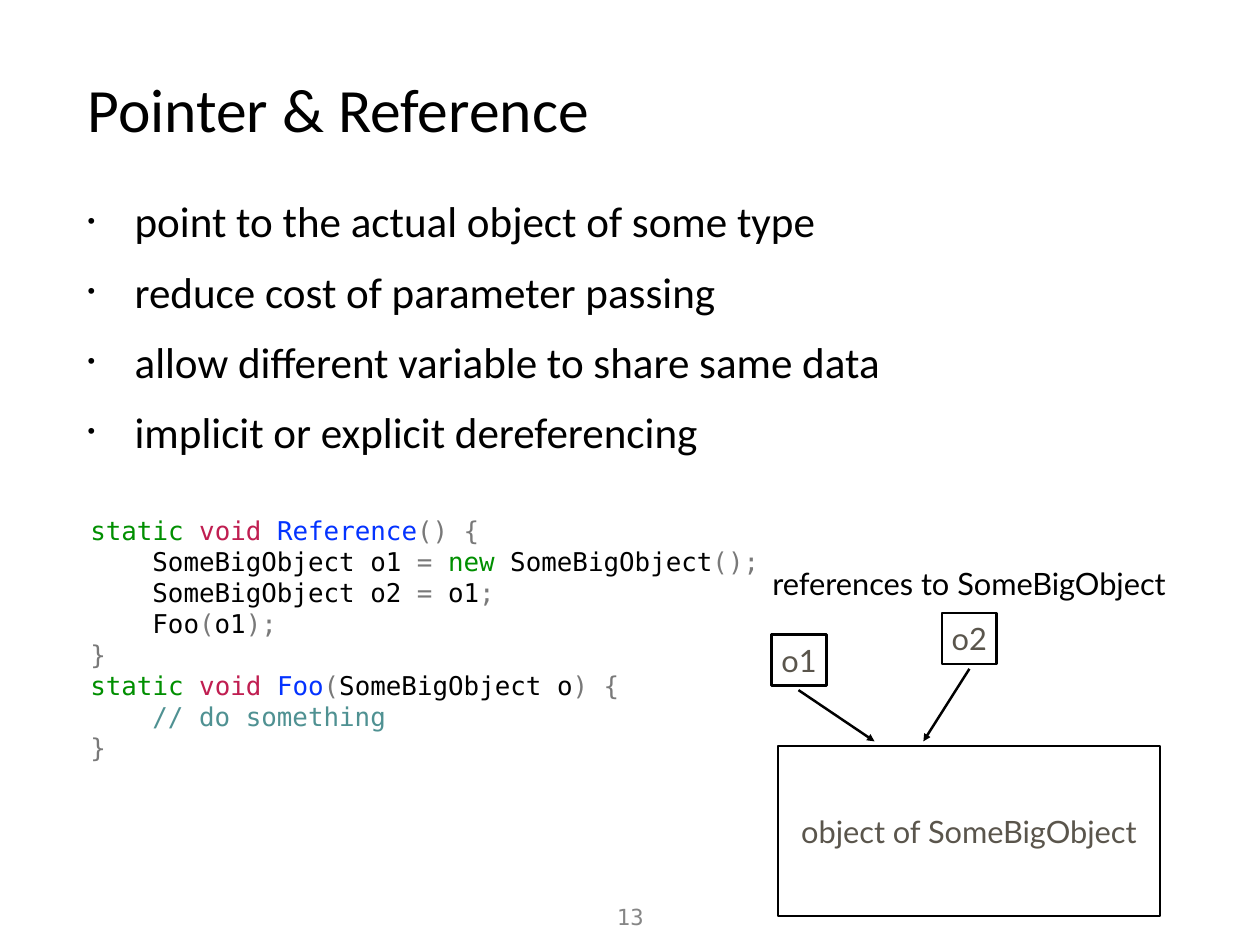
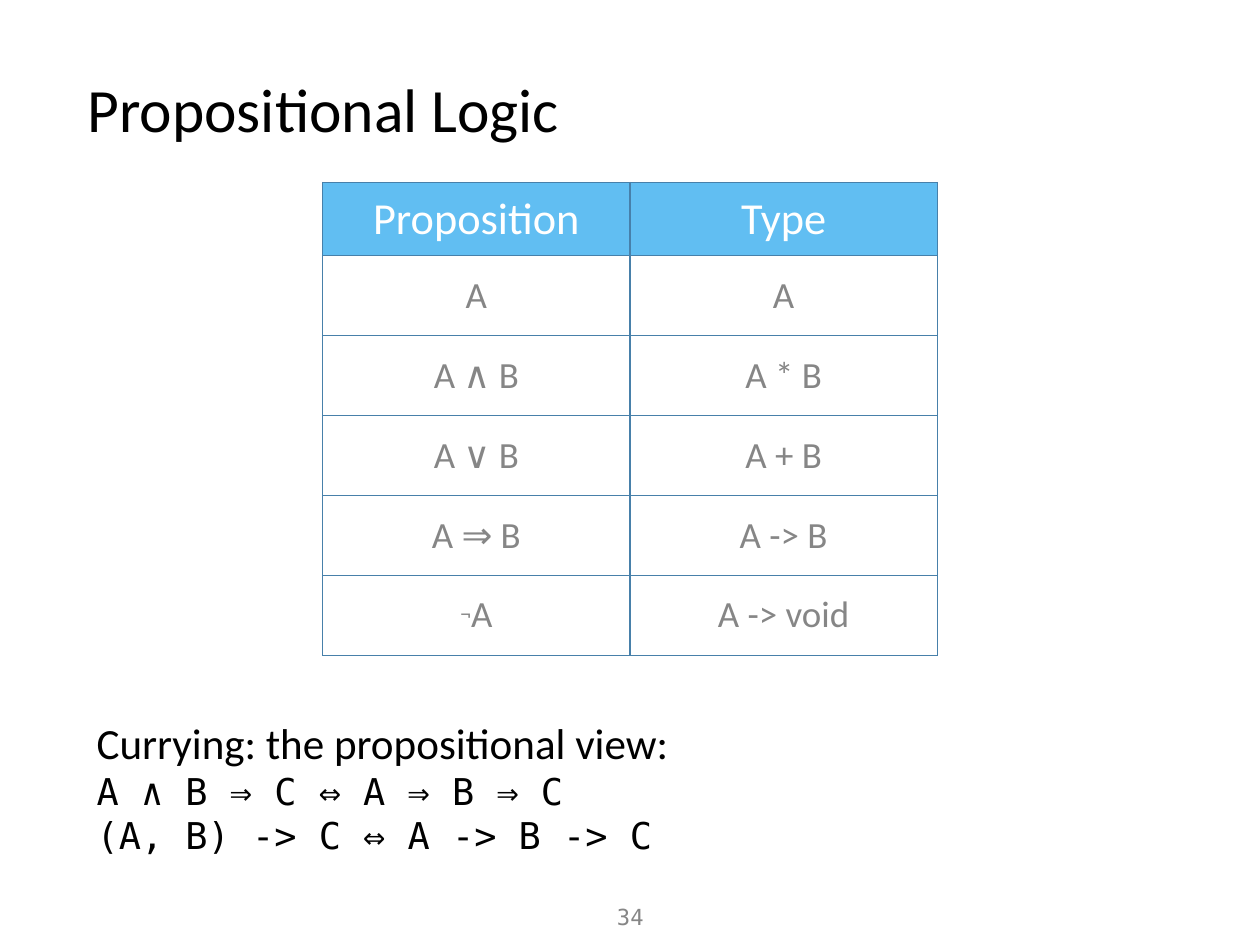
from pptx import Presentation
from pptx.dml.color import RGBColor
from pptx.enum.shapes import MSO_CONNECTOR, MSO_SHAPE
from pptx.enum.text import MSO_ANCHOR, PP_ALIGN
from pptx.oxml.ns import qn
from pptx.util import Cm, Pt
from lxml.etree import SubElement, Element

BLACK = RGBColor(0x00, 0x00, 0x00)
WHITE = RGBColor(0xFF, 0xFF, 0xFF)
STONE = RGBColor(0x5A, 0x55, 0x4C)
SILVER = RGBColor(0x86, 0x86, 0x86)
GRAY = RGBColor(0x79, 0x79, 0x79)
GREEN = RGBColor(0x00, 0x8F, 0x00)
RED = RGBColor(0xC0, 0x1E, 0x51)
BLUE = RGBColor(0x04, 0x33, 0xFF)
TEAL = RGBColor(0x4F, 0x91, 0x92)
SKY = RGBColor(0x61, 0xBE, 0xF2)
STEEL = RGBColor(0x47, 0x80, 0xAA)
SANS, MONO, LATO = "Calibri", "DejaVu Sans Mono", "Lato"
LEFT, MID = PP_ALIGN.LEFT, PP_ALIGN.CENTER
PAD = Cm(0.15)


def write(par, parts, size, font, align=LEFT):
    par.alignment = align
    for text, color in parts:
        run = par.add_run()
        run.text = text
        run.font.size = Pt(size)
        run.font.name = font
        run.font.color.rgb = color


def place(slide, area, lines, size, font, align=LEFT, anchor=MSO_ANCHOR.MIDDLE, framed=False):
    spot = [Cm(n) for n in area]
    if framed:
        shape = slide.shapes.add_shape(MSO_SHAPE.RECTANGLE, *spot)
        shape.shadow.inherit = False
        shape.fill.background()
        shape.line.color.rgb = BLACK
        shape.line.width = Pt(2)
    else:
        shape = slide.shapes.add_textbox(*spot)
    frame = shape.text_frame
    frame.word_wrap = True
    frame.vertical_anchor = anchor
    frame.margin_left = frame.margin_right = frame.margin_top = frame.margin_bottom = PAD
    for row, parts in enumerate(lines):
        par = frame.add_paragraph() if row else frame.paragraphs[0]
        write(par, parts, size, font, align)
    return frame.paragraphs


deck = Presentation()
deck.slide_width, deck.slide_height = Cm(36.12), Cm(27.1)
slides = []
for title, page in [("Pointer & Reference", "13"), ("Propositional Logic", "34")]:
    slide = deck.slides.add_slide(deck.slide_layouts[6])
    place(slide, (2.36, 1.22, 29.06, 3.76), [[(title, BLACK)]], 50, SANS)
    place(slide, (17.07, 25.76, 2, 1.12), [[(page, SILVER)]], 18, MONO, MID, MSO_ANCHOR.TOP)
    slides.append(slide)
refs, logic = slides

points = [
    "point to the actual object of some type",
    "reduce cost of parameter passing",
    "allow different variable to share same data",
    "implicit or explicit dereferencing",
]
pars = place(refs, (2.36, 5.44, 29.06, 8.18), [[(point, BLACK)] for point in points],
             35, SANS, anchor=MSO_ANCHOR.TOP)
for par in pars:
    par.space_before = Pt(15)
    props = par._p.get_or_add_pPr()
    props.set("marL", str(Cm(1.35)))
    props.set("indent", str(-Cm(1.35)))
    SubElement(props, qn("a:buSzPct")).set("val", "50000")
    SubElement(props, qn("a:buFont")).set("typeface", "Arial")
    SubElement(props, qn("a:buChar")).set("char", "•")

code = [
    (0, [("static ", GREEN), ("void ", RED), ("Reference", BLUE), ("() {", GRAY)]),
    (1, [("SomeBigObject o1 ", BLACK), ("= ", GRAY), ("new", GREEN),
         (" SomeBigObject", BLACK), ("();", GRAY)]),
    (1, [("SomeBigObject o2 ", BLACK), ("=", GRAY), (" o1", BLACK), (";", GRAY)]),
    (1, [("Foo", BLACK), ("(", GRAY), ("o1", BLACK), (");", GRAY)]),
    (0, [("}", GRAY)]),
    (0, [("static ", GREEN), ("void ", RED), ("Foo", BLUE), ("(", GRAY),
         ("SomeBigObject o", BLACK), (") {", GRAY)]),
    (1, [("// do something", TEAL)]),
    (0, [("}", GRAY)]),
]
pars = place(refs, (2.44, 14.25, 19.89, 8.13), [parts for depth, parts in code], 21, MONO)
for par, (depth, parts) in zip(pars, code):
    par._p.get_or_add_pPr().set("marL", str(Cm(1.78 * depth)))

for text, area in [
    ("object of SomeBigObject", (22.3, 21.39, 10.95, 4.88)),
    ("o1", (22.12, 18.19, 1.57, 1.47)),
    ("o2", (27, 17.58, 1.57, 1.47)),
]:
    place(refs, area, [[(text, STONE)]], 25, LATO, MID, framed=True)

for ends in [(22.89, 19.79, 25.07, 21.26), (27.79, 19.18, 26.47, 21.26)]:
    arrow = refs.shapes.add_connector(MSO_CONNECTOR.STRAIGHT, *[Cm(n) for n in ends])
    arrow.line.color.rgb = BLACK
    arrow.line.width = Pt(2)
    SubElement(arrow.line._get_or_add_ln(), qn("a:tailEnd")).set("type", "triangle")
    SubElement(arrow._element.spPr, qn("a:effectLst"))

place(refs, (21.67, 15.98, 12.22, 1.47), [[("references to SomeBigObject", BLACK)]], 25, LATO, MID)

rows = [
    ("Proposition", "Type"),
    ("A", "A"),
    ("A ∧ B", "A * B"),
    ("A ∨ B", "A + B"),
    ("A ⇒ B", "A -> B"),
    ("¬A", "A -> void"),
]
grid = logic.shapes.add_table(len(rows), 2, Cm(9.25), Cm(5.23), Cm(17.62), Cm(13.56)).table
for col in grid.columns:
    col.width = Cm(8.81)
for y, row in enumerate(rows):
    grid.rows[y].height = Cm(2.29 if y else 2.11)
    for x, text in enumerate(row):
        cell = grid.cell(y, x)
        cell.vertical_anchor = MSO_ANCHOR.MIDDLE
        cell.margin_left = cell.margin_right = cell.margin_top = cell.margin_bottom = PAD
        if y:
            cell.fill.background()
        else:
            cell.fill.solid()
            cell.fill.fore_color.rgb = SKY
        color, size = (SILVER, 30) if y else (WHITE, 36)
        par = cell.text_frame.paragraphs[0]
        parts = ["¬", text[1:]] if text.startswith("¬") else [text]
        write(par, [(part, color) for part in parts], size, SANS, MID)
        if len(parts) > 1:
            par.runs[0].font._element.set("baseline", "17000")
        props = cell._tc.get_or_add_tcPr()
        for spot, side in enumerate(["lnL", "lnR", "lnT", "lnB"]):
            edge = Element(qn("a:" + side), w=str(Pt(1)))
            fill = SubElement(edge, qn("a:solidFill"))
            SubElement(fill, qn("a:srgbClr")).set("val", str(STEEL))
            props.insert(spot, edge)

view = [
    "Currying: the propositional view:",
    "A ∧ B ⇒ C ⇔ A ⇒ B ⇒ C",
    "(A, B) -> C ⇔ A -> B -> C",
]
pars = place(logic, (2.62, 19.71, 24.1, 5.72), [[(line, BLACK)] for line in view], 30, MONO)
pars[0].space_before = Pt(20)
pars[0].runs[0].font.name = SANS
pars[0].runs[0].font.size = Pt(35)

deck.save("out.pptx")
